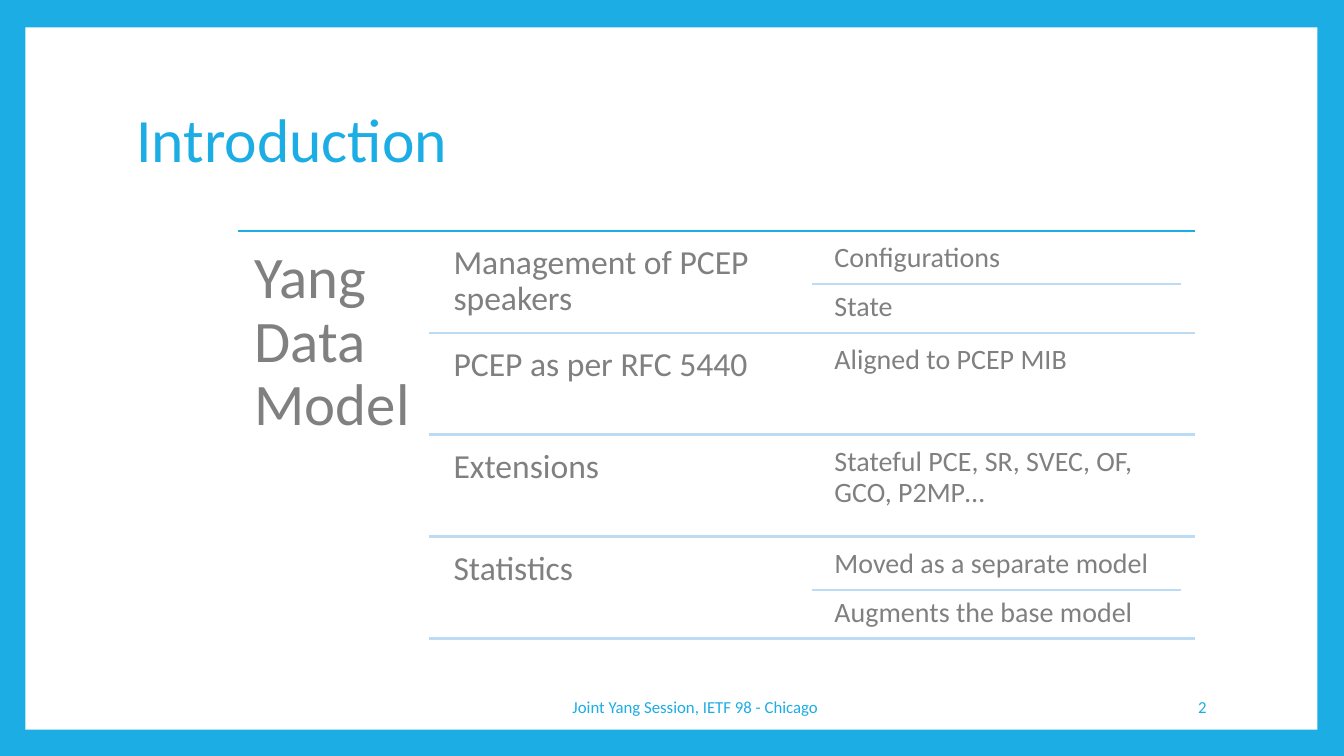
from lxml.etree import SubElement
from pptx import Presentation
from pptx.dml.color import RGBColor
from pptx.enum.shapes import MSO_CONNECTOR, MSO_SHAPE
from pptx.enum.text import MSO_ANCHOR, PP_ALIGN
from pptx.oxml.ns import qn
from pptx.util import Cm, Pt

BLUE = "1CADE4"
PALE_BLUE = "BDDBF2"
GRAY = "808080"
WHITE = "FFFFFF"

TREE_LEFT, TREE_RIGHT, TREE_TOP = 5.99, 30.12, 5.82
BRANCH_LEFT = 10.82
TOPIC_LEFT, DETAIL_LEFT = 11.18, 20.83
DETAIL_LINE_LEFT, DETAIL_LINE_RIGHT = 20.47, 29.77
COLUMN_WIDTH = 9.3
FIRST_ROW_TOP, ROW_HEIGHT, ROW_PITCH = 5.94, 2.44, 2.57

TOPICS = [
    ("Management of PCEP speakers", ["Configurations", "State"]),
    ("PCEP as per RFC 5440", ["Aligned to PCEP MIB"]),
    ("Extensions", ["Stateful PCE, SR, SVEC, OF, GCO, P2MP…"]),
    ("Statistics", ["Moved as a separate model", "Augments the base model"]),
]


def set_solid(fill, color):
    """Give a fill one solid colour from a hex string."""
    fill.solid()
    fill.fore_color.rgb = RGBColor.from_string(color)


def write_text(shape, text, size=20, color=GRAY, align=PP_ALIGN.LEFT,
               anchor=MSO_ANCHOR.TOP, line_spacing=0.9, inset=None):
    """Write one formatted paragraph into a shape."""
    frame = shape.text_frame
    frame.word_wrap = True
    frame.vertical_anchor = anchor
    if inset is not None:
        frame.margin_left = frame.margin_right = Cm(inset)
        frame.margin_top = frame.margin_bottom = Cm(inset)
    paragraph = frame.paragraphs[0]
    paragraph.alignment = align
    paragraph.line_spacing = line_spacing
    run = paragraph.add_run()
    run.text = text
    run.font.name = "Calibri"
    run.font.size = Pt(size)
    run.font.color.rgb = RGBColor.from_string(color)


def add_text(slide, text, left, top, width, height, **text_format):
    """Add a text box with formatted text."""
    box = slide.shapes.add_textbox(Cm(left), Cm(top), Cm(width), Cm(height))
    write_text(box, text, **text_format)


def add_rule(slide, left, right, top, color=PALE_BLUE):
    """Add a horizontal line without a shadow."""
    rule = slide.shapes.add_connector(
        MSO_CONNECTOR.STRAIGHT, Cm(left), Cm(top), Cm(right), Cm(top))
    rule.line.color.rgb = RGBColor.from_string(color)
    rule.line.width = Pt(1.5)
    SubElement(rule._element.spPr, qn("a:effectLst"))


def add_frame(slide):
    """Add the blue border around a white panel."""
    set_solid(slide.background.fill, BLUE)
    panel = slide.shapes.add_shape(
        MSO_SHAPE.RECTANGLE, Cm(0.64), Cm(0.69), Cm(32.56), Cm(17.7))
    panel.shadow.inherit = False
    set_solid(panel.fill, WHITE)
    panel.line.fill.background()
    slide.shapes._spTree.insert(2, panel._element)


def add_title(slide, text):
    """Place and format the title placeholder."""
    title = slide.shapes.title
    title.left, title.top = Cm(3.18), Cm(1.7)
    title.width, title.height = Cm(27.43), Cm(3.76)
    write_text(title, text, size=44, color=BLUE, anchor=MSO_ANCHOR.MIDDLE)


def add_footer(slide, text, left, width, align):
    """Add a piece of text to the footer line."""
    add_text(slide, text, left, 17.3, width, 1.02, size=12, color=BLUE,
             align=align, anchor=MSO_ANCHOR.MIDDLE, line_spacing=1.0)


def add_topic(slide, topic, details, top):
    """Add a topic row with its details and the lines below them."""
    add_text(slide, topic, TOPIC_LEFT, top, COLUMN_WIDTH, ROW_HEIGHT,
             size=24, inset=0.25)
    detail_height = ROW_HEIGHT / len(details)
    for index, detail in enumerate(details):
        detail_top = top + index * detail_height
        if index:
            add_rule(slide, DETAIL_LINE_LEFT, DETAIL_LINE_RIGHT, detail_top)
        add_text(slide, detail, DETAIL_LEFT, detail_top, COLUMN_WIDTH,
                 detail_height, inset=0.2)
    add_rule(slide, BRANCH_LEFT, TREE_RIGHT, top + ROW_HEIGHT)


def main():
    """Build the slide and save it."""
    presentation = Presentation()
    presentation.slide_width, presentation.slide_height = Cm(33.87), Cm(19.05)
    slide = presentation.slides.add_slide(presentation.slide_layouts[5])
    add_frame(slide)
    add_title(slide, "Introduction")
    add_footer(slide, "Joint Yang Session, IETF 98 - Chicago", 10.97, 13.11,
               PP_ALIGN.CENTER)
    add_footer(slide, "2", 25.91, 4.75, PP_ALIGN.RIGHT)
    add_rule(slide, TREE_LEFT, TREE_RIGHT, TREE_TOP, BLUE)
    add_text(slide, "Yang Data Model", TREE_LEFT, TREE_TOP,
             BRANCH_LEFT - TREE_LEFT, 10.39, size=42, inset=0.43)
    for row, (topic, details) in enumerate(TOPICS):
        add_topic(slide, topic, details, FIRST_ROW_TOP + row * ROW_PITCH)
    presentation.save("out.pptx")


if __name__ == "__main__":
    main()
